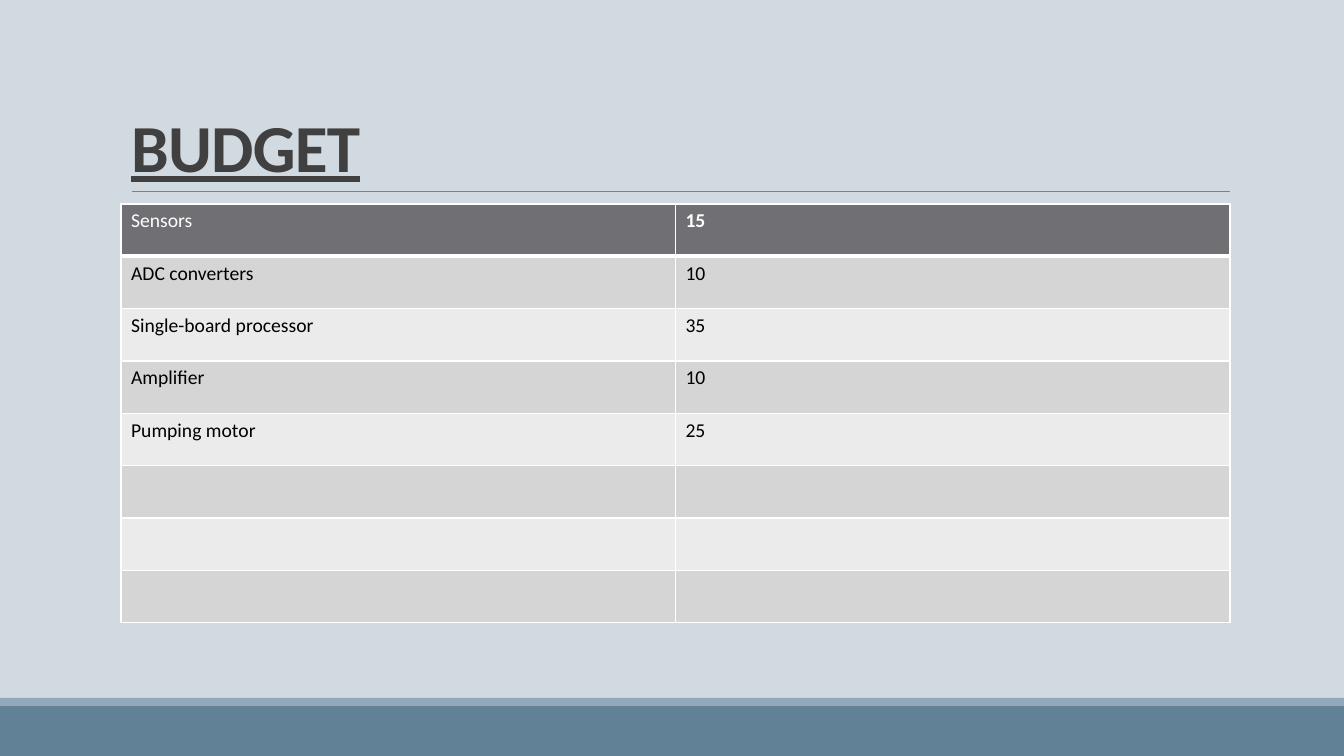
from lxml import etree
from pptx import Presentation, util as u
from pptx.dml.color import RGBColor
from pptx.enum import shapes, text
from pptx.oxml.ns import qn

PX = 914400 / 100.8
COLORS = {
    "background": "D1D9E1", "band": "618197", "stripe": "92A9B9",
    "rule": "808080", "title": "404040", "header": "6F6F74",
    "odd": "D5D5D6", "even": "EBEBEB", "white": "FFFFFF", "black": "000000",
}
BUDGET = [
    ("Sensors", "15"),
    ("ADC converters", "10"),
    ("Single-board processor", "35"),
    ("Amplifier", "10"),
    ("Pumping motor", "25"),
    ("", ""),
    ("", ""),
    ("", ""),
]


def px(*lengths):
    return [u.Emu(round(length * PX)) for length in lengths]


def rgb(name):
    return RGBColor.from_string(COLORS[name])


deck = Presentation()
deck.slide_width, deck.slide_height = px(1344, 756)
slide = deck.slides.add_slide(deck.slide_layouts[5])
slide.background.fill.solid()
slide.background.fill.fore_color.rgb = rgb("background")

# Footer bands
for color, top, height in (("band", 706, 50), ("stripe", 698, 8)):
    band = slide.shapes.add_shape(
        shapes.MSO_SHAPE.RECTANGLE, *px(0, top, 1344, height))
    band.shadow.inherit = False
    band.fill.solid()
    band.fill.fore_color.rgb = rgb(color)
    band.line.fill.background()

# Rule under the title
rule = slide.shapes.add_connector(
    shapes.MSO_CONNECTOR.STRAIGHT, *px(132, 191, 1230, 191))
rule.line.color.rgb = rgb("rule")
rule.line.width = u.Pt(0.5)
etree.SubElement(rule._element.spPr, qn("a:effectLst"))

# Title
title = slide.shapes.title
title.left, title.top, title.width, title.height = px(121, 31, 1109, 160)
title.text_frame.text = "BUDGET"
title.text_frame.vertical_anchor = text.MSO_ANCHOR.BOTTOM
title.text_frame.auto_size = text.MSO_AUTO_SIZE.NONE
heading = title.text_frame.paragraphs[0]
heading.alignment = text.PP_ALIGN.LEFT
heading.line_spacing = 0.85
heading.font.name = "Calibri"
heading.font.size = u.Pt(48)
heading.font.bold = heading.font.underline = True
heading.font.color.rgb = rgb("title")
heading.runs[0]._r.get_or_add_rPr().set("spc", "-50")

# Budget table
budget = slide.shapes.add_table(len(BUDGET), 2, *px(121, 204, 1109, 419)).table
for row, entries in enumerate(BUDGET):
    fill = "header" if row == 0 else "odd" if row % 2 else "even"
    for column, entry in enumerate(entries):
        cell = budget.cell(row, column)

        # Borders, with a thick line between header and body
        thick_side = {0: "lnB", 1: "lnT"}.get(row)
        for side in ("lnL", "lnR", "lnT", "lnB"):
            border = etree.SubElement(cell._tc.get_or_add_tcPr(), qn(f"a:{side}"))
            border.set("w", str(u.Pt(3 if side == thick_side else 1)))
            line_fill = etree.SubElement(border, qn("a:solidFill"))
            etree.SubElement(line_fill, qn("a:srgbClr"), val=COLORS["white"])

        cell.fill.solid()
        cell.fill.fore_color.rgb = rgb(fill)
        cell.text = entry
        font = cell.text_frame.paragraphs[0].font
        font.name = "Calibri"
        font.size = u.Pt(14)
        font.bold = row == 0 and column == 1
        font.color.rgb = rgb("white" if row == 0 else "black")

deck.save("out.pptx")
